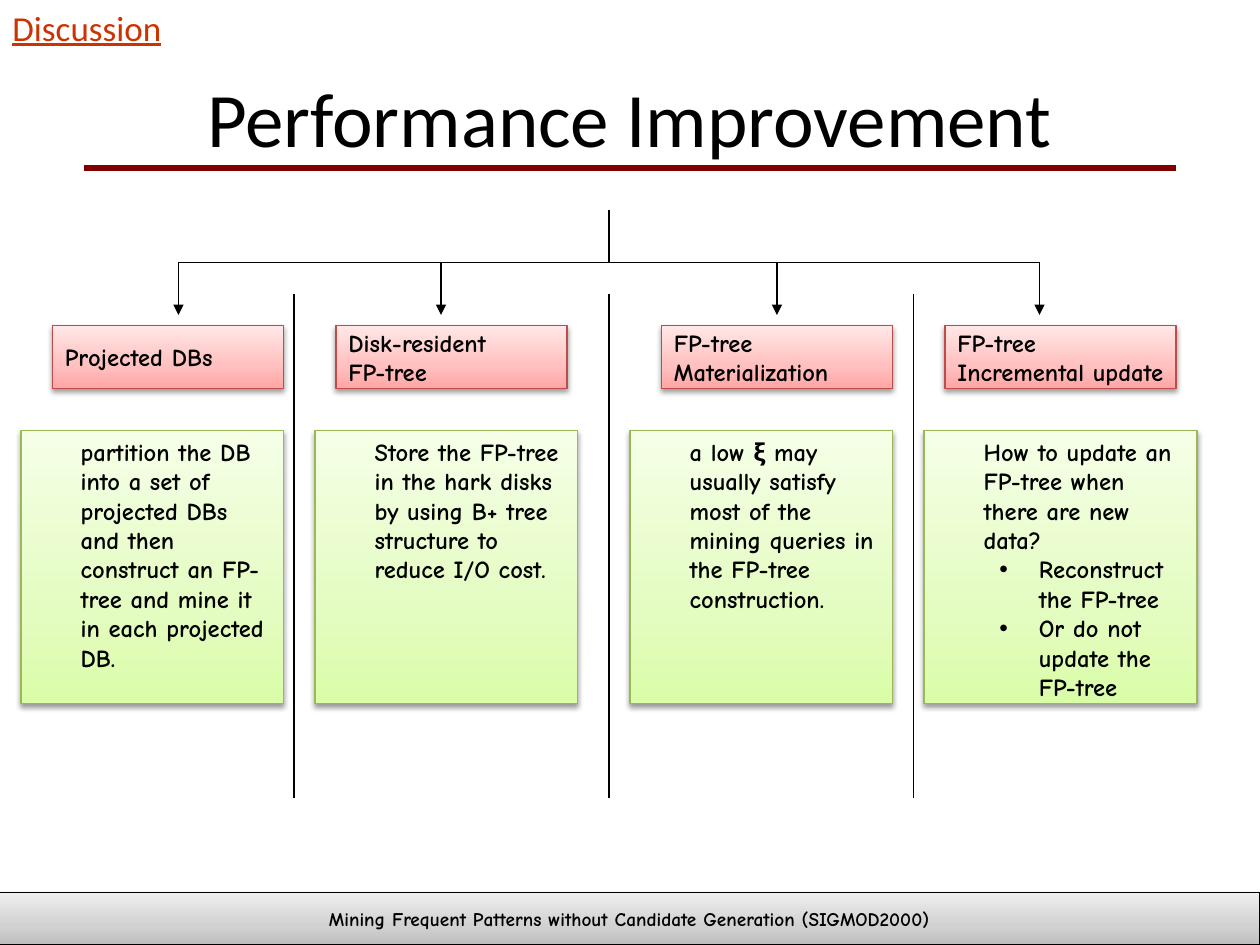
from lxml import etree
from pptx import Presentation
from pptx.dml.color import RGBColor
from pptx.enum.shapes import MSO_CONNECTOR, MSO_SHAPE
from pptx.enum.text import MSO_ANCHOR, PP_ALIGN
from pptx.oxml.ns import qn
from pptx.util import Pt

LINE = MSO_CONNECTOR.STRAIGHT
RECT = MSO_SHAPE.RECTANGLE
TOP, MIDDLE = MSO_ANCHOR.TOP, MSO_ANCHOR.MIDDLE
LEFT, CENTER = PP_ALIGN.LEFT, PP_ALIGN.CENTER

BLACK = RGBColor(0, 0, 0)
ORANGE = RGBColor(0xCC, 0x33, 0x00)
MAROON = RGBColor(0x80, 0x00, 0x00)
RED = RGBColor(0xBF, 0x4C, 0x48)
GREEN = RGBColor(0x98, 0xB9, 0x55)
PINKS = [RGBColor(0xFF, 0xA6, 0xA5), RGBColor(0xFF, 0xC0, 0xBF), RGBColor(0xFF, 0xE7, 0xE7)]
LIMES = [RGBColor(0xDA, 0xFD, 0xA7), RGBColor(0xE4, 0xFC, 0xC2), RGBColor(0xF5, 0xFF, 0xE7)]
GREYS = [RGBColor(0xBD, 0xBD, 0xBD), RGBColor(0xD1, 0xD1, 0xD1), RGBColor(0xEE, 0xEE, 0xEE)]
STOPS = (0, 35, 100)
SANS, COMIC = "Calibri", "Comic Neue"

TOPICS = [
    (30, 12, 150, ["Projected DBs"],
     ["partition the DB into a set of projected DBs and then construct an FP-tree "
      "and mine it in each projected DB."]),
    (192, 180, 150, ["Disk-resident", "FP-tree"],
     ["Store the FP-tree in the hark disks by using B+ tree structure to reduce I/O cost."]),
    (378, 360, 150, ["FP-tree", "Materialization"],
     ["a low ξ may usually satisfy most of the mining queries in the FP-tree construction."]),
    (540, 528, 156, ["FP-tree", "Incremental update"],
     ["How to update an FP-tree when there are new data?",
      "Reconstruct the FP-tree", "Or do not update the FP-tree"]),
]


def add(parent, tag, **attrs):
    return etree.SubElement(parent, qn(tag), {key: str(val) for key, val in attrs.items()})


def tint(parent, color, alpha=None):
    node = add(parent, "a:srgbClr", val=color)
    if alpha:
        add(node, "a:alpha", val=alpha * 1000)


def write(shape, lines, size=14, font=COMIC, color=BLACK, bold=True, under=False,
          align=LEFT, anchor=MIDDLE, right=7.2, indent=0, bullets=False):
    frame = shape.text_frame
    frame.word_wrap = True
    frame.vertical_anchor = anchor
    frame.margin_right = Pt(right)
    for i, line in enumerate(lines):
        para = frame.paragraphs[0] if i == 0 else frame.add_paragraph()
        para.alignment = align
        props = para._p.get_or_add_pPr()
        if bullets and i:
            para.level = 1
            props.set("marL", str(Pt(58.5)))
            props.set("indent", str(Pt(-22.5)))
            add(props, "a:buFont", typeface="Arial")
            add(props, "a:buChar", char="•")
        else:
            props.set("marL", str(Pt(indent)))
            props.set("indent", "0")
        run = para.add_run()
        run.text = line
        face = run.font
        face.name, face.size, face.bold, face.underline = font, Pt(size), bold, under
        face.color.rgb = color


def label(slide, x, y, w, h, text, **style):
    box = slide.shapes.add_textbox(Pt(x), Pt(y), Pt(w), Pt(h))
    write(box, [text], font=SANS, bold=False, **style)


def panel(slide, x, y, w, h, lines, shades, edge, **style):
    box = slide.shapes.add_shape(RECT, Pt(x), Pt(y), Pt(w), Pt(h))
    box.fill.gradient()
    grad = box._element.spPr.find(qn("a:gradFill"))
    for child in list(grad):
        grad.remove(child)
    stops = add(grad, "a:gsLst")
    for pos, shade in zip(STOPS, shades):
        tint(add(stops, "a:gs", pos=pos * 1000), shade)
    add(grad, "a:lin", ang=270 * 60000, scaled=0)
    box.line.color.rgb = edge
    box.line.width = Pt(0.75)
    box.shadow.inherit = False
    effects = box._element.spPr.find(qn("a:effectLst"))
    shadow = add(effects, "a:outerShdw", blurRad=Pt(3.1), dist=Pt(1.6),
                 dir=90 * 60000, rotWithShape=0)
    tint(shadow, BLACK, 38)
    write(box, lines, **style)


def rule(slide, x1, y1, x2, y2, color=BLACK, width=0.75, arrow=False):
    line = slide.shapes.add_connector(LINE, Pt(x1), Pt(y1), Pt(x2), Pt(y2))
    line.line.color.rgb = color
    line.line.width = Pt(width)
    if arrow:
        add(line.line._get_or_add_ln(), "a:tailEnd", type="triangle")
    add(line._element.spPr, "a:effectLst")


def header(slide, x, y, w):
    label(slide, x + 36, y + 21.6, w - 72, 90, "Performance Improvement",
          size=44, align=CENTER)
    label(slide, x, y, 111.6, 31, "Discussion", size=20, color=ORANGE,
          under=True, anchor=TOP)
    rule(slide, x + 48, y + 96, x + w - 48, y + 96, MAROON, 3.25)


def tree(slide, x, y):
    drops = [x, x + 150, x + 342, x + 492]
    rule(slide, x + 246, y, x + 246, y + 30)
    rule(slide, drops[0], y + 30, drops[-1], y + 30)
    for drop in drops:
        rule(slide, drop, y + 30, drop, y + 60, arrow=True)
    for wall in (x + 66, x + 246, x + 420):
        rule(slide, wall, y + 48, wall, y + 336)


def topic(slide, y, head, body, w, title, lines):
    panel(slide, head, y, 132, 36, title, PINKS, RED, right=0)
    panel(slide, body, y + 60, w, 156, lines, LIMES, GREEN,
          anchor=TOP, indent=27, bullets=True)


def footer(slide, x, y, w, h):
    panel(slide, x, y, w, h,
          ["Mining Frequent Patterns without Candidate Generation (SIGMOD2000)"],
          GREYS, BLACK, size=11, align=CENTER)


def main():
    deck = Presentation()
    deck.slide_width, deck.slide_height = Pt(720), Pt(540)
    slide = deck.slides.add_slide(deck.slide_layouts[6])
    header(slide, 0, 0, 720)
    footer(slide, -0.5, 510, 720.5, 30)
    tree(slide, 102, 120)
    for item in TOPICS:
        topic(slide, 186, *item)
    deck.save("out.pptx")


if __name__ == "__main__":
    main()
